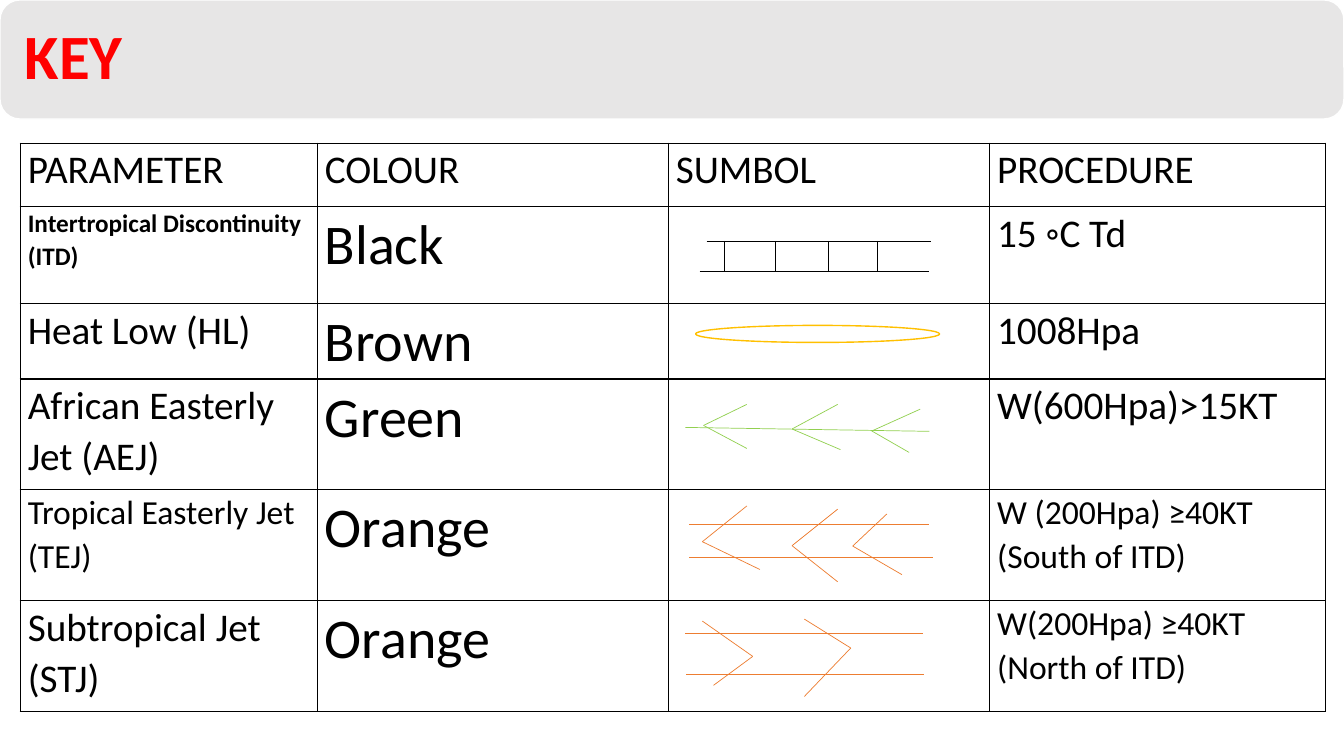
from lxml import etree
from pptx import Presentation
from pptx.dml.color import RGBColor
from pptx.enum.shapes import MSO_CONNECTOR, MSO_SHAPE
from pptx.enum.text import MSO_ANCHOR, PP_ALIGN
from pptx.oxml.ns import qn
from pptx.util import Cm, Pt

STRAIGHT = MSO_CONNECTOR.STRAIGHT
ROUNDED, OVAL = MSO_SHAPE.ROUNDED_RECTANGLE, MSO_SHAPE.OVAL
MIDDLE = MSO_ANCHOR.MIDDLE
LEFT = PP_ALIGN.LEFT

BLACK, WHITE, GREY, RED = "000000", "FFFFFF", "E7E6E6", "FF0000"
AMBER, GREEN, ORANGE = "FFC000", "92D050", "ED7D31"

COLUMN_WIDTHS = [7.49, 8.84, 8.1, 8.46]
ROW_HEIGHTS = [1.6, 2.44, 1.9, 2.79, 2.79, 2.79]
HEADINGS = ["PARAMETER", "COLOUR", "SUMBOL", "PROCEDURE"]
PARAMETERS = [
    ("Intertropical Discontinuity (ITD)", 18, "Black", "15 ◦C Td", 28),
    ("Heat Low (HL)", 28, "Brown", "1008Hpa", 28),
    ("African Easterly Jet (AEJ)", 28, "Green", "W(600Hpa)>15KT", 28),
    ("Tropical Easterly Jet (TEJ)", 24, "Orange", "W (200Hpa) ≥40KT\n(South of ITD)", 24),
    ("Subtropical Jet (STJ)", 28, "Orange", "W(200Hpa) ≥40KT\n(North of ITD)", 24),
]

ITD_TOP, ITD_BOTTOM = 6.07, 6.83
ITD_LINES = [[(17.81, ITD_TOP), (23.47, ITD_TOP)], [(17.63, ITD_BOTTOM), (23.42, ITD_BOTTOM)]]
ITD_LINES += [[(x, ITD_TOP), (x, ITD_BOTTOM)] for x in (18.26, 19.53, 20.88, 22.12)]
AEJ_LINES = [
    [(17.27, 10.77), (23.42, 10.87)],
    [(18.82, 10.19), (17.73, 10.72), (18.82, 11.3)],
    [(21.11, 10.19), (19.96, 10.81), (21.18, 11.33)],
    [(23.19, 10.31), (21.97, 10.86), (22.91, 11.4)],
]
TEJ_LINES = [
    [(17.37, 13.21), (23.42, 13.21)],
    [(17.37, 14.05), (23.52, 14.05)],
    [(18.82, 12.75), (17.7, 13.65), (19.15, 14.35)],
    [(21.11, 12.83), (19.96, 13.75), (21.11, 14.66)],
    [(22.35, 12.95), (21.49, 13.76), (22.73, 14.48)],
]
STJ_LINES = [
    [(17.27, 15.95), (23.27, 15.95)],
    [(17.3, 16.99), (23.29, 16.99)],
    [(17.7, 15.65), (18.97, 16.54), (17.98, 17.27)],
    [(20.27, 15.6), (21.44, 16.33), (20.27, 17.55)],
]
SYMBOLS = [(ITD_LINES, BLACK), (AEJ_LINES, GREEN), (TEJ_LINES, ORANGE), (STJ_LINES, ORANGE)]


def colour(value):
    return RGBColor.from_string(value)


def write(frame, text, size=28, color=BLACK, bold=False, spacing=1.07):
    frame.word_wrap = True
    for index, line in enumerate(text.split("\n")):
        para = frame.add_paragraph() if index else frame.paragraphs[0]
        para.alignment = LEFT
        para.line_spacing = spacing
        span = para.add_run()
        span.text = line
        span.font.name = "Calibri"
        span.font.size = Pt(size)
        span.font.bold = bold
        span.font.color.rgb = colour(color)


def add_box(page, kind, left, top, width, height, fill, line):
    box = page.shapes.add_shape(kind, Cm(left), Cm(top), Cm(width), Cm(height))
    box.shadow.inherit = False
    box.fill.solid()
    box.fill.fore_color.rgb = colour(fill)
    box.line.color.rgb = colour(line)
    box.line.width = Pt(1)
    return box


def add_line(page, start, end, color):
    x1, y1, x2, y2 = (Cm(value) for value in start + end)
    line = page.shapes.add_connector(STRAIGHT, x1, y1, x2, y2)
    line.line.color.rgb = colour(color)
    line.line.width = Pt(0.5)
    etree.SubElement(line._element.spPr, qn("a:effectLst"))


def add_symbol(page, strokes, color):
    for points in strokes:
        for start, end in zip(points, points[1:]):
            add_line(page, start, end, color)


def add_borders(cell):
    properties = cell._tc.get_or_add_tcPr()
    for index, side in enumerate(("a:lnL", "a:lnR", "a:lnT", "a:lnB")):
        border = etree.Element(qn(side), w=str(Pt(1)))
        fill = etree.SubElement(border, qn("a:solidFill"))
        etree.SubElement(fill, qn("a:srgbClr"), val=BLACK)
        properties.insert(index, border)


def add_key_table(page):
    frame = page.shapes.add_table(
        len(ROW_HEIGHTS), len(COLUMN_WIDTHS), Cm(0.51), Cm(3.61),
        Cm(sum(COLUMN_WIDTHS)), Cm(sum(ROW_HEIGHTS)))
    table = frame.table
    table.first_row = table.horz_banding = False
    for column, width in zip(table.columns, COLUMN_WIDTHS):
        column.width = Cm(width)
    for row, height in zip(table.rows, ROW_HEIGHTS):
        row.height = Cm(height)
    for cell in table.iter_cells():
        cell.margin_left = cell.margin_right = Cm(0.19)
        cell.margin_top = cell.margin_bottom = 0
        cell.fill.background()
        add_borders(cell)
    for column, heading in enumerate(HEADINGS):
        write(table.cell(0, column).text_frame, heading)
    for row, (name, name_size, shade, procedure, size) in enumerate(PARAMETERS, 1):
        write(table.cell(row, 0).text_frame, name, size=name_size, bold=row == 1)
        write(table.cell(row, 1).text_frame, shade, size=40)
        write(table.cell(row, 3).text_frame, procedure, size=size)


def add_banner(page, title):
    banner = add_box(page, ROUNDED, 0, 0, 33.87, 3, GREY, WHITE)
    frame = banner.text_frame
    frame.margin_left = frame.margin_right = Cm(0.48)
    frame.vertical_anchor = MIDDLE
    write(frame, title, size=45, color=RED, bold=True, spacing=0.9)


def main():
    deck = Presentation()
    deck.slide_width, deck.slide_height = Cm(33.87), Cm(19.05)
    page = deck.slides.add_slide(deck.slide_layouts[6])
    add_banner(page, "KEY")
    add_key_table(page)
    for strokes, color in SYMBOLS:
        add_symbol(page, strokes, color)
    add_box(page, OVAL, 17.53, 8.2, 6.15, 0.43, WHITE, AMBER)
    deck.save("out.pptx")


if __name__ == "__main__":
    main()
